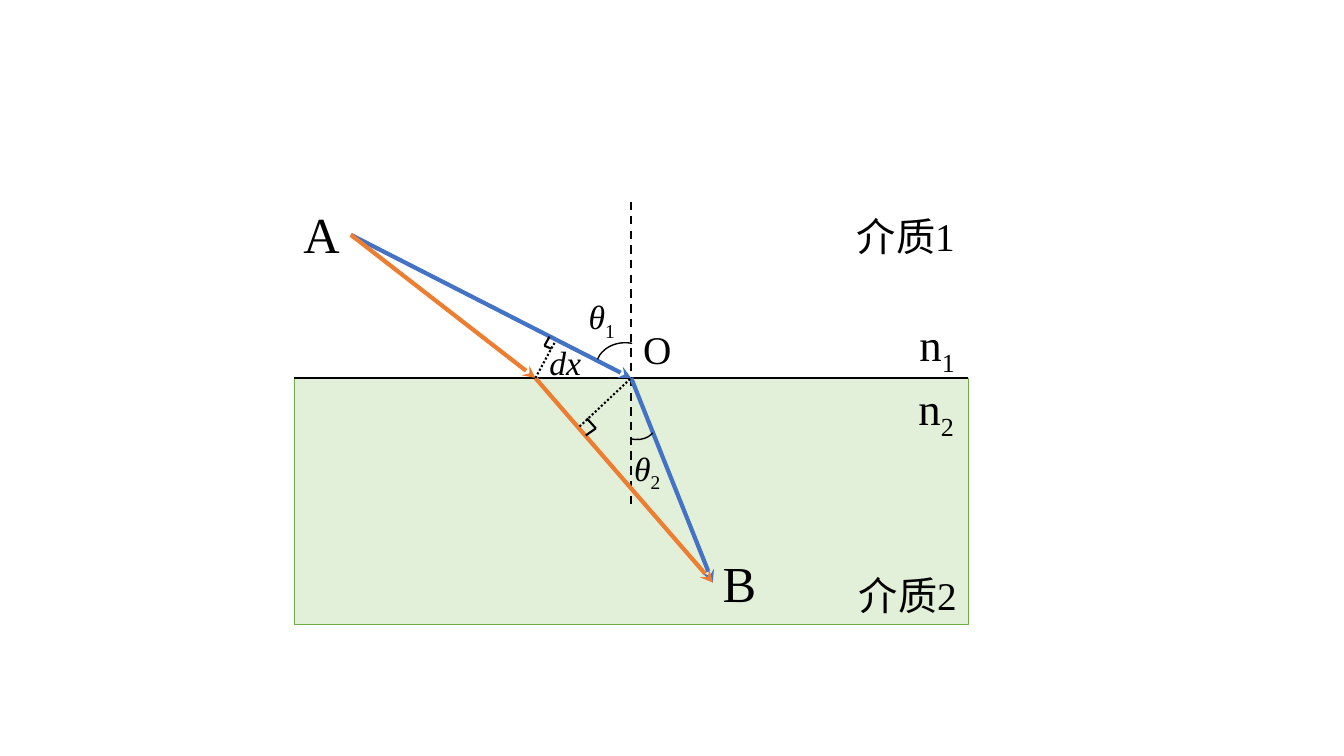
import pptx
import pptx.util
import pptx.dml.color
import pptx.enum.dml
import pptx.enum.shapes
import pptx.enum.text
import pptx.oxml.ns
import lxml.etree

Inches = pptx.util.Inches
SHAPE = pptx.enum.shapes.MSO_SHAPE
DASH = pptx.enum.dml.MSO_LINE
HUES = {"ink": "000000", "glass": "E2F0D9", "edge": "70AD47",
        "real": "4472C4", "near": "ED7D31"}
FONT = "Times New Roman"


def color(name):
    return pptx.dml.color.RGBColor.from_string(HUES[name])


def add_tag(parent, name, **attrs):
    lxml.etree.SubElement(parent, pptx.oxml.ns.qn(name), attrs)


def write(box, text, size=28, sub="", italic=False, wrap=False):
    """Fill a box with text, followed by an upright subscript."""
    frame = box.text_frame
    frame.word_wrap = wrap
    frame.auto_size = pptx.enum.text.MSO_AUTO_SIZE.SHAPE_TO_FIT_TEXT
    para = frame.paragraphs[0]
    for part, low in ((text, False), (sub, True)):
        if not part:
            continue
        run = para.add_run()
        run.text = part
        font = run.font
        font.name, font.size = FONT, pptx.util.Pt(size)
        font.italic = italic and not low
        font.color.rgb = color("ink")
        if low:
            font._element.set("baseline", "-25000")


class Sketch:
    def __init__(self, slide):
        self.slide = slide
        self.shapes = slide.shapes

    def stroke(self, line, hue, width):
        line.color.rgb = color(hue)
        line.width = pptx.util.Pt(width)

    def shape(self, kind, at, hue, width, fill=None):
        item = self.shapes.add_shape(kind, *map(Inches, at))
        item.shadow.inherit = False
        if fill:
            item.fill.solid()
            item.fill.fore_color.rgb = color(fill)
        else:
            item.fill.background()
        self.stroke(item.line, hue, width)
        return item

    def arc(self, at, turn=0):
        item = self.shape(SHAPE.ARC, at, "ink", 1)
        item.adjustments[0] = 117.782
        item.adjustments[1] = 171.765
        item.rotation = turn

    def line(self, start, end, hue="ink", width=1.5, dash=None,
             arrow=False, home=None):
        item = (home or self.shapes).add_connector(
            pptx.enum.shapes.MSO_CONNECTOR.STRAIGHT,
            *map(Inches, start + end))
        self.stroke(item.line, hue, width)
        if dash:
            item.line.dash_style = dash
        if arrow:
            add_tag(item.line._get_or_add_ln(), "a:tailEnd", type="stealth")
        add_tag(item._element.spPr, "a:effectLst")
        return item

    def ray(self, start, end, hue):
        return self.line(start, end, hue, 3, arrow=True)

    def label(self, at, text, **style):
        write(self.shapes.add_textbox(*map(Inches, at)), text, **style)

    def square(self, foot, mark):
        """Group a dotted perpendicular with its right-angle mark."""
        home = self.shapes.add_group_shape().shapes
        self.line(*foot, dash=DASH.ROUND_DOT, home=home)
        for start, end in zip(mark, mark[1:]):
            self.line(start, end, home=home)


def main():
    deck = pptx.Presentation()
    deck.slide_width, deck.slide_height = Inches(13.33), Inches(7.5)
    art = Sketch(deck.slides.add_slide(deck.slide_layouts[6]))
    a, o, b, near = (3.48, 2.33), (6.26, 3.75), (7.07, 5.78), (5.31, 3.75)

    glass = art.shape(SHAPE.RECTANGLE, (2.92, 3.75, 6.68, 2.44),
                      "edge", 0.5, "glass")
    art.line((2.92, 3.75), (9.6, 3.75))
    art.line((6.26, 5), (6.26, 2), dash=DASH.DASH)

    art.label((2.91, 1.97, 0.57, 0.71), "A", size=36)
    art.label((6.28, 3.18, 0.49, 0.57), "O")
    art.label((7.07, 5.43, 0.54, 0.71), "B", size=36)
    art.label((9.02, 3.09, 0.58, 0.64), "n", size=32, sub="1")
    art.label((9.01, 3.73, 0.58, 0.64), "n", size=32, sub="2")

    art.ray(a, o, "real").end_connect(glass, 0)
    art.ray(o, b, "real").begin_connect(glass, 0)
    art.arc((5.91, 3.4, 0.58, 0.49))
    art.arc((6.13, 4.11, 0.36, 0.25), 183.4)
    art.ray(a, near, "near")
    art.ray(near, b, "near")

    angle = {"size": 24, "italic": True, "wrap": True}
    art.label((5.74, 2.89, 0.57, 0.5), "θ", sub="1", **angle)
    art.label((6.19, 4.39, 0.57, 0.5), "θ", sub="2", **angle)
    art.label((8.4, 2.06, 1.18, 0.57), "介质1")
    art.label((8.42, 5.62, 1.18, 0.57), "介质2")

    art.square((near, (5.5, 3.4)), [(5.45, 3.34), (5.4, 3.43), (5.47, 3.46)])
    art.square(((6.25, 3.76), (5.74, 4.24)),
               [(5.82, 4.15), (5.91, 4.25), (5.81, 4.32)])
    art.label((5.35, 3.34, 0.57, 0.5), "dx", **angle)
    deck.save("out.pptx")


if __name__ == "__main__":
    main()
